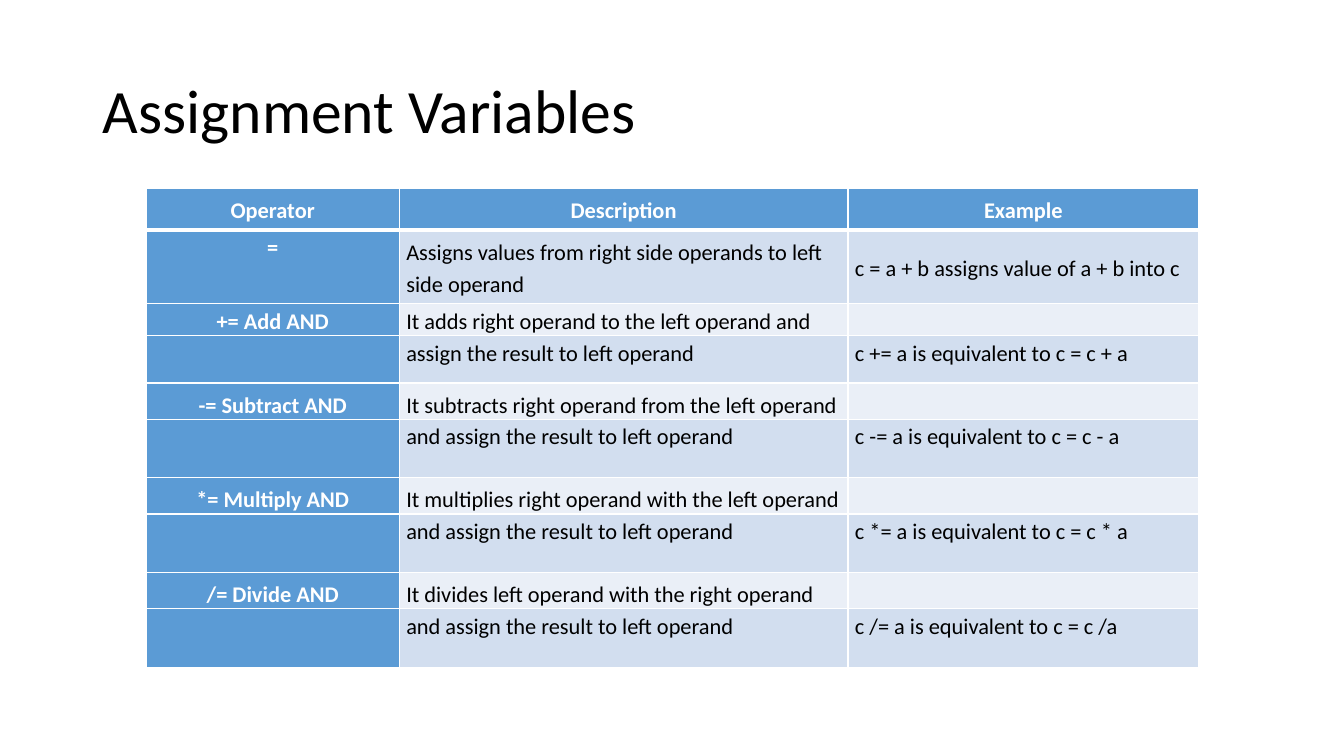
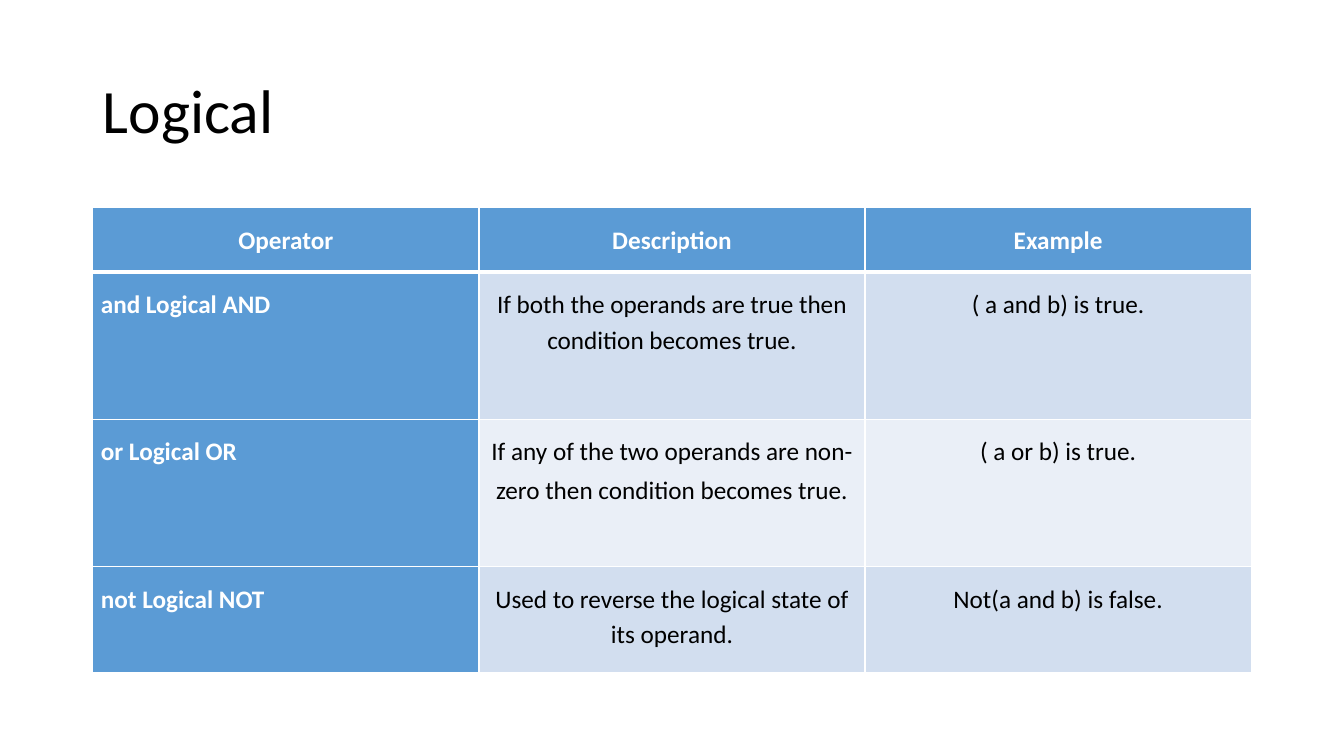
from lxml.etree import SubElement
from pptx import Presentation
from pptx.dml.color import RGBColor
from pptx.enum.text import MSO_ANCHOR, PP_ALIGN
from pptx.oxml.ns import qn
from pptx.util import Pt

PX = 9144  # 100 px to the inch
FONT = "Calibri"
WHITE, BLACK, BLUE = "FFFFFF", "000000", "5B9BD5"
BANDS = ["D2DEEF", "EAEFF7"]
TOP, MID, LOW = MSO_ANCHOR.TOP, MSO_ANCHOR.MIDDLE, MSO_ANCHOR.BOTTOM
LEFT, CENTER = PP_ALIGN.LEFT, PP_ALIGN.CENTER


def style(para, size, color, bold, align, gap):
    para.alignment, para.line_spacing = align, gap
    for run in para.runs:
        font = run.font
        font.name, font.size, font.bold = FONT, Pt(size), bold
        font.color.rgb = RGBColor.from_string(color)


def edge(cell, side, width):
    """Draw one white border; side is L, R, T or B, in that order."""
    line = SubElement(cell._tc.get_or_add_tcPr(), qn(f"a:ln{side}"), w=str(Pt(width)))
    fill = SubElement(line, qn("a:solidFill"))
    SubElement(fill, qn("a:srgbClr"), val=WHITE)


HEAD = ["Operator", "Description", "Example"]
assign = [
    HEAD,
    ["=", "Assigns values from right side operands to left side operand",
     "c = a + b assigns value of a + b into c"],
    ["+= Add AND", "It adds right operand to the left operand and", ""],
    ["", "assign the result to left operand", "c += a is equivalent to c = c + a"],
    ["-= Subtract AND", "It subtracts right operand from the left operand", ""],
    ["", "and assign the result to left operand", "c -= a is equivalent to c = c - a"],
    ["*= Multiply AND", "It multiplies right operand with the left operand", ""],
    ["", "and assign the result to left operand", "c *= a is equivalent to c = c * a"],
    ["/= Divide AND", "It divides left operand with the right operand", ""],
    ["", "and assign the result to left operand", "c /= a is equivalent to c = c /a"],
]
logic = [
    HEAD,
    ["and Logical AND", "If both the operands are true then condition becomes true.",
     "( a and b) is true."],
    ["or Logical OR",
     "If any of the two operands are non-\nzero then condition becomes true.",
     "( a or b) is true."],
    ["not Logical NOT", "Used to reverse the logical state of its operand.",
     "Not(a and b) is false."],
]
pages = [
    dict(title="Assignment Variables", data=assign, left=145, top=187,
         cols=[251, 445, 348], rows=[41, 73, 32, 47] + [36, 58] * 3,
         size=16, side=7, pad=0, aligns=[CENTER, LEFT, LEFT],
         anchors=[MID, MID] + [LOW, TOP] * 4),
    dict(title="Logical", data=logic, left=92, top=206,
         cols=[383] * 3, rows=[64, 146, 146, 105],
         size=18, side=8, pad=13, aligns=[LEFT, CENTER, CENTER],
         anchors=[TOP] * 4),
]

deck = Presentation()
deck.slide_width, deck.slide_height = 1333 * PX, 750 * PX

for page in pages:
    slide = deck.slides.add_slide(deck.slide_layouts[5])
    title = slide.shapes.title
    title.left, title.top = 92 * PX, 40 * PX
    title.width, title.height = 1150 * PX, 145 * PX
    title.text_frame.text = page["title"]
    title.text_frame.vertical_anchor = MID
    style(title.text_frame.paragraphs[0], 44, BLACK, False, LEFT, 0.9)

    cols, rows, data = page["cols"], page["rows"], page["data"]
    table = slide.shapes.add_table(
        len(rows), len(cols), page["left"] * PX, page["top"] * PX,
        sum(cols) * PX, sum(rows) * PX).table
    table.first_row = table.horz_banding = False
    for col, width in zip(table.columns, cols):
        col.width = width * PX
    for row, height in zip(table.rows, rows):
        row.height = height * PX

    for r, texts in enumerate(data):
        for c, text in enumerate(texts):
            cell = table.cell(r, c)
            key = r == 0 or c == 0
            cell.margin_left = cell.margin_right = page["side"] * PX
            cell.margin_top, cell.margin_bottom = page["pad"] * PX, 0
            # The first operator sits at the top of its tall row
            cell.vertical_anchor = TOP if (r, c) == (1, 0) else page["anchors"][r]
            for side in "LRTB":
                thick = (r, side) in [(0, "B"), (1, "T")]
                edge(cell, side, 3 if thick else 1)
            cell.fill.solid()
            cell.fill.fore_color.rgb = RGBColor.from_string(
                BLUE if key else BANDS[(r - 1) % 2])
            if not text:
                continue
            cell.text_frame.text = text
            align = CENTER if r == 0 else page["aligns"][c]
            paras = cell.text_frame.paragraphs
            for para in paras:
                style(para, page["size"], WHITE if key else BLACK, key, align, 1.15)
            for para in paras[:-1]:
                para.space_after = Pt(2.6)

deck.save("out.pptx")
